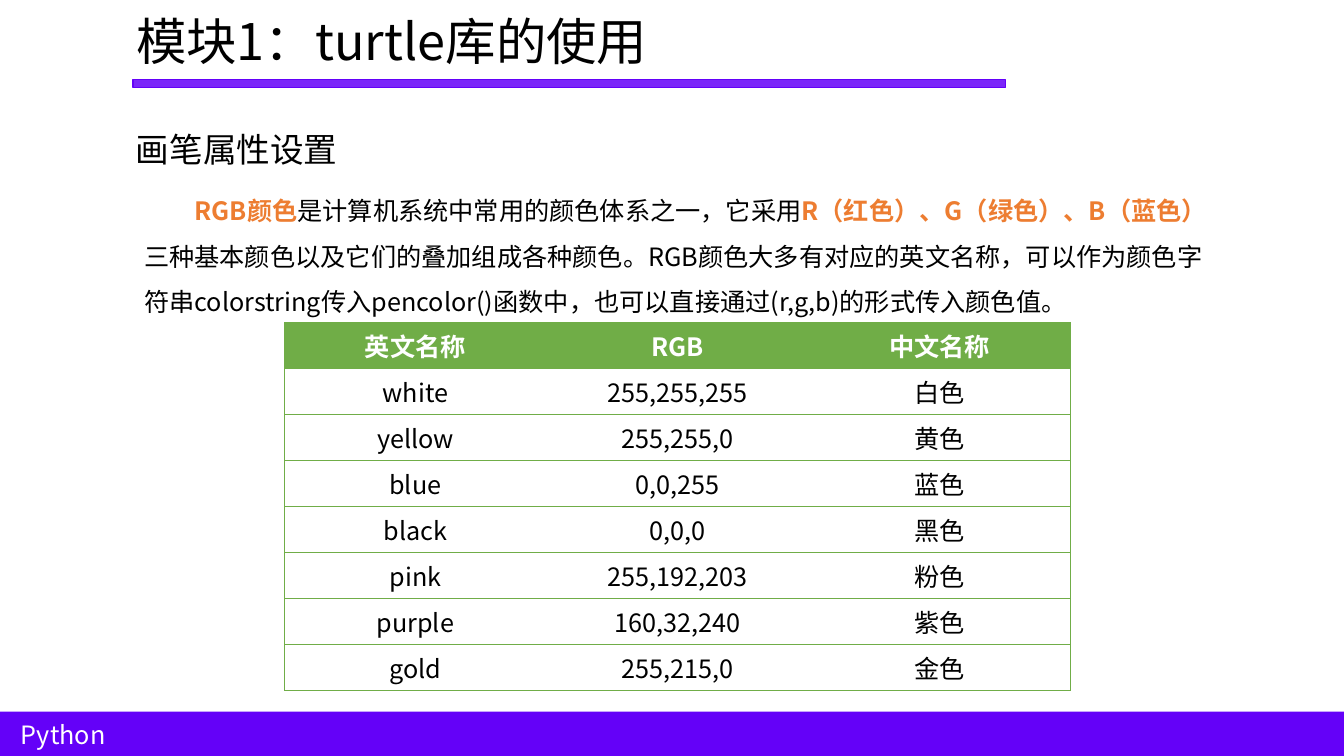
from dataclasses import dataclass

from lxml.etree import SubElement
from pptx import Presentation
from pptx.dml.color import RGBColor
from pptx.enum.shapes import MSO_SHAPE
from pptx.enum.text import MSO_ANCHOR, MSO_AUTO_SIZE, PP_ALIGN
from pptx.oxml.ns import qn
from pptx.util import Inches, Pt


@dataclass(frozen=True)
class Theme:
    font: str = "Noto Sans CJK SC"
    purple: str = "6401F8"
    green: str = "70AD47"
    orange: str = "ED7D31"
    black: str = "000000"
    white: str = "FFFFFF"
    title_size: int = 36
    heading_size: int = 24
    text_size: int = 18


THEME = Theme()

COLOR_ROWS = [
    ("英文名称", "RGB", "中文名称"),
    ("white", "255,255,255", "白色"),
    ("yellow", "255,255,0", "黄色"),
    ("blue", "0,0,255", "蓝色"),
    ("black", "0,0,0", "黑色"),
    ("pink", "255,192,203", "粉色"),
    ("purple", "160,32,240", "紫色"),
    ("gold", "255,215,0", "金色"),
]

# Each part: text, emphasised or not
INTRODUCTION = [
    ("RGB颜色", True),
    ("是计算机系统中常用的颜色体系之一，它采用", False),
    ("R（红色）、G（绿色）、B（蓝色）", True),
    ("三种基本颜色以及它们的叠加组成各种颜色。RGB颜色大多有对应的英文名称，"
     "可以作为颜色字符串colorstring传入pencolor()函数中，"
     "也可以直接通过(r,g,b)的形式传入颜色值。", False),
]


def add_text(paragraph, text, size=THEME.text_size, color=THEME.black,
             bold=False, align=PP_ALIGN.LEFT):
    paragraph.alignment = align
    run = paragraph.add_run()
    run.text = text
    run.font.size = Pt(size)
    run.font.bold = bold
    run.font.color.rgb = RGBColor.from_string(color)
    run.font.name = THEME.font
    SubElement(run.font._element, qn("a:ea"), typeface=THEME.font)


def place(shape, left, top, width, height):
    shape.left, shape.top = Inches(left), Inches(top)
    shape.width, shape.height = Inches(width), Inches(height)
    frame = shape.text_frame
    frame.word_wrap = True
    frame.auto_size = MSO_AUTO_SIZE.NONE
    frame.vertical_anchor = MSO_ANCHOR.TOP
    return frame.paragraphs[0]


def add_text_box(slide, box, text, **text_format):
    shape = slide.shapes.add_textbox(*map(Inches, box))
    add_text(place(shape, *box), text, **text_format)


def add_bar(slide, left, top, width, height):
    bar = slide.shapes.add_shape(
        MSO_SHAPE.RECTANGLE, *map(Inches, (left, top, width, height)))
    bar.shadow.inherit = False
    bar.fill.solid()
    bar.fill.fore_color.rgb = RGBColor.from_string(THEME.purple)
    bar.line.fill.background()
    return bar


def add_header(slide, left, top, width, height):
    # Translucent rule under the title
    rule = add_bar(slide, left + 0.07, top + 0.74, 8.65, 0.08)
    color = rule.fill._xPr.find(qn("a:solidFill"))[0]
    SubElement(color, qn("a:alpha"), val="85000")
    rule.line.color.rgb = RGBColor.from_string(THEME.purple)
    rule.line.width = Pt(1)
    # Title
    paragraph = place(slide.shapes.title, left, top, width, height)
    add_text(paragraph, "模块1：turtle库的使用", size=THEME.title_size)


def add_footer(slide, left, top, width, height):
    add_bar(slide, left, top, width, height)
    add_text_box(slide, (left + 0.11, top + 0.03, 2.68, 0.41), "Python",
                 color=THEME.white)


def add_introduction(slide, left, top, width, height):
    add_text_box(slide, (left - 0.08, top - 0.51, 2.57, 0.5), "画笔属性设置",
                 size=THEME.heading_size)
    paragraph = place(slide.placeholders[1], left, top, width, height)
    properties = paragraph._p.get_or_add_pPr()
    properties.set("marL", "0")
    properties.set("indent", str(Inches(0.5)))
    SubElement(properties, qn("a:buNone"))
    paragraph.line_spacing = 1.5
    paragraph.space_before = Pt(0)
    for text, emphasised in INTRODUCTION:
        add_text(paragraph, text, bold=emphasised,
                 color=THEME.orange if emphasised else THEME.black)


def set_borders(cell, visible_sides):
    properties = cell._tc.get_or_add_tcPr()
    for side in "LRTB":
        line = SubElement(properties, qn(f"a:ln{side}"), w=str(Pt(0.5)))
        if side in visible_sides:
            fill = SubElement(line, qn("a:solidFill"))
            SubElement(fill, qn("a:srgbClr"), val=THEME.green)
        else:
            SubElement(line, qn("a:noFill"))


def add_color_table(slide, left, top, width, height):
    row_count, column_count = len(COLOR_ROWS), len(COLOR_ROWS[0])
    table = slide.shapes.add_table(
        row_count, column_count,
        *map(Inches, (left, top, width, height))).table
    table.horz_banding = False
    for row_index, values in enumerate(COLOR_ROWS):
        is_header = row_index == 0
        for column_index, value in enumerate(values):
            cell = table.cell(row_index, column_index)
            cell.vertical_anchor = MSO_ANCHOR.MIDDLE
            cell.margin_left = cell.margin_right = Inches(0.07)
            cell.margin_top = cell.margin_bottom = 0
            # Horizontal rules everywhere, vertical ones on the outside only
            sides = "TB"
            if column_index == 0:
                sides += "L"
            if column_index == column_count - 1:
                sides += "R"
            set_borders(cell, sides)
            cell.fill.solid()
            cell.fill.fore_color.rgb = RGBColor.from_string(
                THEME.green if is_header else THEME.white)
            add_text(cell.text_frame.paragraphs[0], value, bold=is_header,
                     color=THEME.white if is_header else THEME.black,
                     align=PP_ALIGN.CENTER)


def main():
    presentation = Presentation()
    presentation.slide_width = Inches(13.33)
    presentation.slide_height = Inches(7.5)
    slide = presentation.slides.add_slide(presentation.slide_layouts[1])
    add_header(slide, 1.25, 0.05, 6.12, 1.31)
    add_footer(slide, 0, 7.06, 13.33, 0.44)
    add_introduction(slide, 1.33, 1.74, 10.76, 1.46)
    add_color_table(slide, 2.82, 3.2, 7.8, 3.65)
    presentation.save("out.pptx")


if __name__ == "__main__":
    main()
